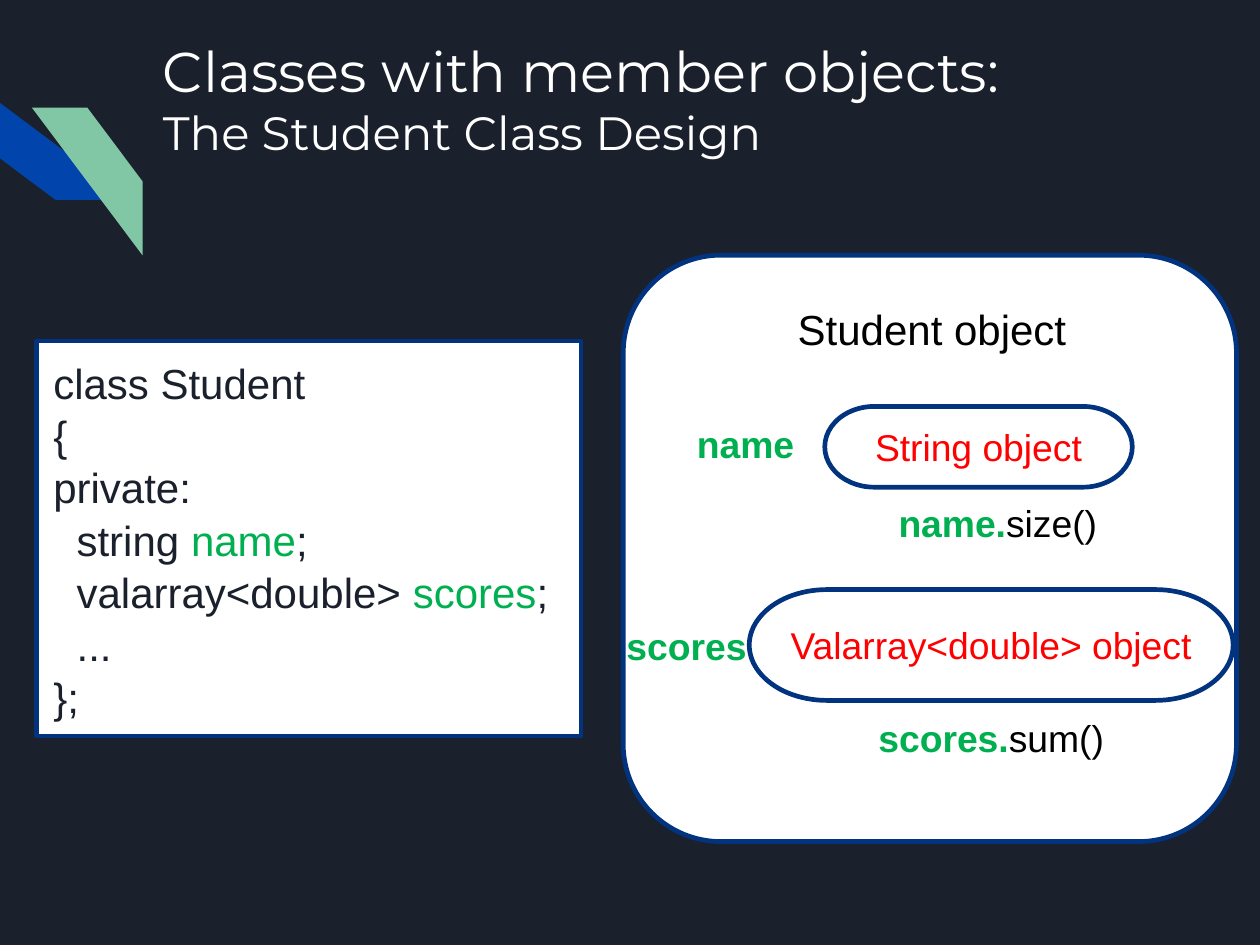
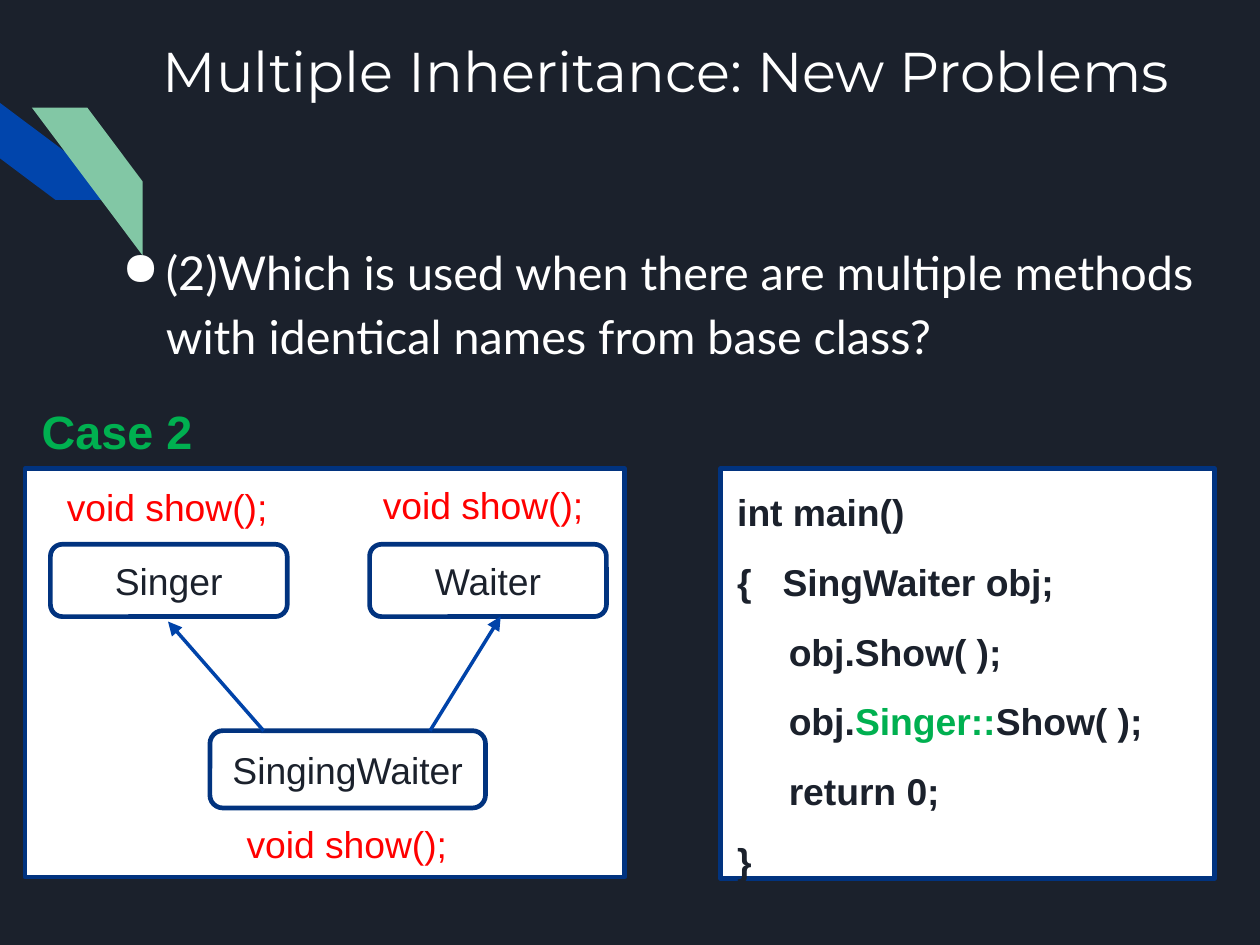
from pptx import Presentation
from pptx.dml.color import RGBColor
from pptx.enum.shapes import MSO_CONNECTOR, MSO_SHAPE as Preset
from pptx.enum.text import MSO_ANCHOR as Anchor, MSO_AUTO_SIZE as AutoSize, PP_ALIGN as Align
from pptx.oxml.ns import qn
from pptx.util import Pt
from lxml.etree import SubElement

NIGHT, NAVY, BLUE, ARROW_BLUE = "1B212C", "01337F", "0145AC", "0043A9"
MINT, GREEN, RED, WHITE, BLACK = "82C7A5", "00B050", "FF0000", "FFFFFF", "000000"

CODE = {"name": "Arial", "size": 18, "color": NIGHT}
NODE = {**CODE, "size": 16}
CALL = {**NODE, "color": RED}
MEMBER = {**NODE, "color": GREEN, "bold": True}
HEADING = {"name": "Montserrat", "size": 24, "color": WHITE}
IN_GREEN = {"color": GREEN}
PLAIN = {"color": BLACK, "bold": False}

STRIPE_SIZE = (47.5, 63.4)
LABEL_HEIGHT = 26.6
SHOW_WIDTH = 103


def rgb(code):
    return RGBColor.from_string(code)


def points(values):
    return [Pt(value) for value in values]


def style_font(font, style):
    for key, value in style.items():
        if key == "color":
            font.color.rgb = rgb(value)
        else:
            setattr(font, key, Pt(value) if key == "size" else value)


def write(frame, lines, style, align=Align.LEFT, spacing=None):
    """Fill a frame; a line is a text or a list of (text, style changes) spans."""
    for index, line in enumerate(lines):
        para = frame.paragraphs[0] if index == 0 else frame.add_paragraph()
        para.alignment = align
        if spacing:
            para.line_spacing = spacing
        spans = [(line, {})] if isinstance(line, str) else line
        for text, changes in spans:
            span = para.add_run()
            span.text = text
            style_font(span.font, {**style, **changes})


def set_frame(frame, inset=None, anchor=Anchor.TOP, wrap=True):
    settings = {"word_wrap": wrap, "auto_size": AutoSize.NONE, "vertical_anchor": anchor}
    if inset is not None:
        sides = ("left", "top", "right", "bottom")
        settings.update({f"margin_{side}": Pt(inset) for side in sides})
    for key, value in settings.items():
        setattr(frame, key, value)


def add_filled(page, preset, place, fill):
    shape = page.shapes.add_shape(preset, *points(place))
    shape.shadow.inherit = False
    shape.fill.solid()
    shape.fill.fore_color.rgb = rgb(fill)
    shape.line.fill.background()
    return shape


def add_panel(page, preset, place, lines=(), style=NODE, align=Align.CENTER, spacing=None):
    """White shape with a navy outline and optional text."""
    panel = add_filled(page, preset, place, WHITE)
    panel.line.color.rgb = rgb(NAVY)
    panel.line.width = Pt(2)
    set_frame(panel.text_frame, anchor=Anchor.MIDDLE)
    write(panel.text_frame, lines, style, align, spacing)


def add_code(page, place, lines, style, spacing):
    add_panel(page, Preset.RECTANGLE, place, lines, style, Align.LEFT, spacing)


def add_label(page, place, line, style, wrap=True):
    box = page.shapes.add_textbox(*points(place))
    set_frame(box.text_frame, wrap=wrap)
    write(box.text_frame, [line], style)


def add_question(page, place, text):
    frame = page.shapes.add_textbox(*points(place)).text_frame
    set_frame(frame, inset=7.2)
    properties = frame.paragraphs[0]._p.get_or_add_pPr()
    properties.set("marL", str(Pt(26.6)))
    properties.set("indent", str(Pt(-18.7)))
    color = SubElement(properties, qn("a:buClr"))
    SubElement(color, qn("a:srgbClr")).set("val", WHITE)
    SubElement(properties, qn("a:buChar")).set("char", "●")
    write(frame, [text], {"name": "Lato", "size": 20, "color": WHITE}, spacing=1.15)


def add_arrow(page, start, end):
    arrow = page.shapes.add_connector(MSO_CONNECTOR.STRAIGHT, *points(start + end))
    arrow.line.color.rgb = rgb(ARROW_BLUE)
    arrow.line.width = Pt(1.5)
    SubElement(arrow.line._get_or_add_ln(), qn("a:tailEnd")).set("type", "triangle")
    SubElement(arrow._element.spPr, qn("a:effectLst"))


def add_page(deck, heading, subheading=None):
    """Title-only page with the corner stripes."""
    page = deck.slides.add_slide(deck.slide_layouts[5])
    blue = add_filled(page, Preset.DIAGONAL_STRIPE, (0, 30.2, *STRIPE_SIZE), BLUE)
    blue.rotation = 270
    mint = add_filled(page, Preset.DIAGONAL_STRIPE, (13.7, 46.1, *STRIPE_SIZE), MINT)
    mint._element.spPr.xfrm.set("flipH", "1")

    title = page.shapes.title
    title.left, title.top, title.width, title.height = points((64.8, 10.8, 469.4, 54))
    set_frame(title.text_frame, inset=5)
    write(title.text_frame, [heading], HEADING)
    if subheading:
        para = title.text_frame.paragraphs[0]
        para.add_line_break()
        span = para.add_run()
        span.text = subheading
        style_font(span.font, {**HEADING, "size": 20})
    return page


def build_student_page(deck):
    page = add_page(deck, "Classes with member objects:", "The Student Class Design")
    add_code(page, (15.8, 146.2, 233.3, 169.2), [
        "class Student",
        "{",
        "private:",
        [("  string ", {}), ("name", IN_GREEN), (";", {})],
        [("  valarray<double> ", {}), ("scores", IN_GREEN), (";", {})],
        "  ...",
        "};",
    ], CODE, 1.04)

    add_panel(page, Preset.ROUNDED_RECTANGLE, (267.1, 109.4, 262.8, 251.3))
    add_label(page, (334.8, 126.7, 145.4, 28.8), "Student object", {**CODE, "color": BLACK})
    for text, place in (
        ("String object", (353.5, 174.2, 131.8, 34.6)),
        ("Valarray<double> object", (321.1, 252.7, 207.4, 47.5)),
    ):
        add_panel(page, Preset.FLOWCHART_TERMINATOR, place, [text], CALL)
    for line, left, top, width in (
        ("name", 291.6, 177.1, 71.3),
        ("scores", 261.4, 263.5, 71.3),
        ([("name.", {}), ("size()", PLAIN)], 378, 211, 102.2),
        ([("scores.", {}), ("sum()", PLAIN)], 369.4, 303.1, 110.9),
    ):
        add_label(page, (left, top, width, LABEL_HEIGHT), line, MEMBER)


def build_inheritance_page(deck):
    page = add_page(deck, "Multiple Inheritance: New Problems")
    add_question(page, (37.4, 93.6, 497.5, 229),
                 "(2)Which is used when there are multiple methods "
                 "with identical names from base class?")
    add_label(page, (10.8, 169.2, 79.9, 31.7), "Case 2", {**MEMBER, "size": 20}, wrap=False)

    add_panel(page, Preset.RECTANGLE, (10.8, 200.9, 257, 175))
    for name, place in (
        ("SingingWaiter", (90, 313.2, 118.1, 33.1)),
        ("Singer", (21.6, 233.3, 101.5, 31)),
        ("Waiter", (158.4, 233.3, 101.5, 31)),
    ):
        add_panel(page, Preset.ROUNDED_RECTANGLE, place, [name])
    add_arrow(page, (113, 313.2), (72, 266.4))
    add_arrow(page, (184.3, 313.2), (214.6, 264.2))
    for left, top in ((21.6, 203.8), (157, 203), (98.6, 348.5)):
        add_label(page, (left, top, SHOW_WIDTH, LABEL_HEIGHT), "void show();", CALL)

    add_code(page, (308.9, 200.9, 211.7, 175.7), [
        "int main()",
        "{   SingWaiter obj;",
        "     obj.Show( );",
        [("     obj.", {}), ("Singer::", IN_GREEN), ("Show( );", {})],
        "     return 0;",
        "}",
    ], {**NODE, "bold": True}, 1.56)


def main():
    deck = Presentation()
    deck.slide_width, deck.slide_height = points((540, 405))
    background = deck.slide_master.background.fill
    background.solid()
    background.fore_color.rgb = rgb(NIGHT)
    build_student_page(deck)
    build_inheritance_page(deck)
    deck.save("out.pptx")


if __name__ == "__main__":
    main()
